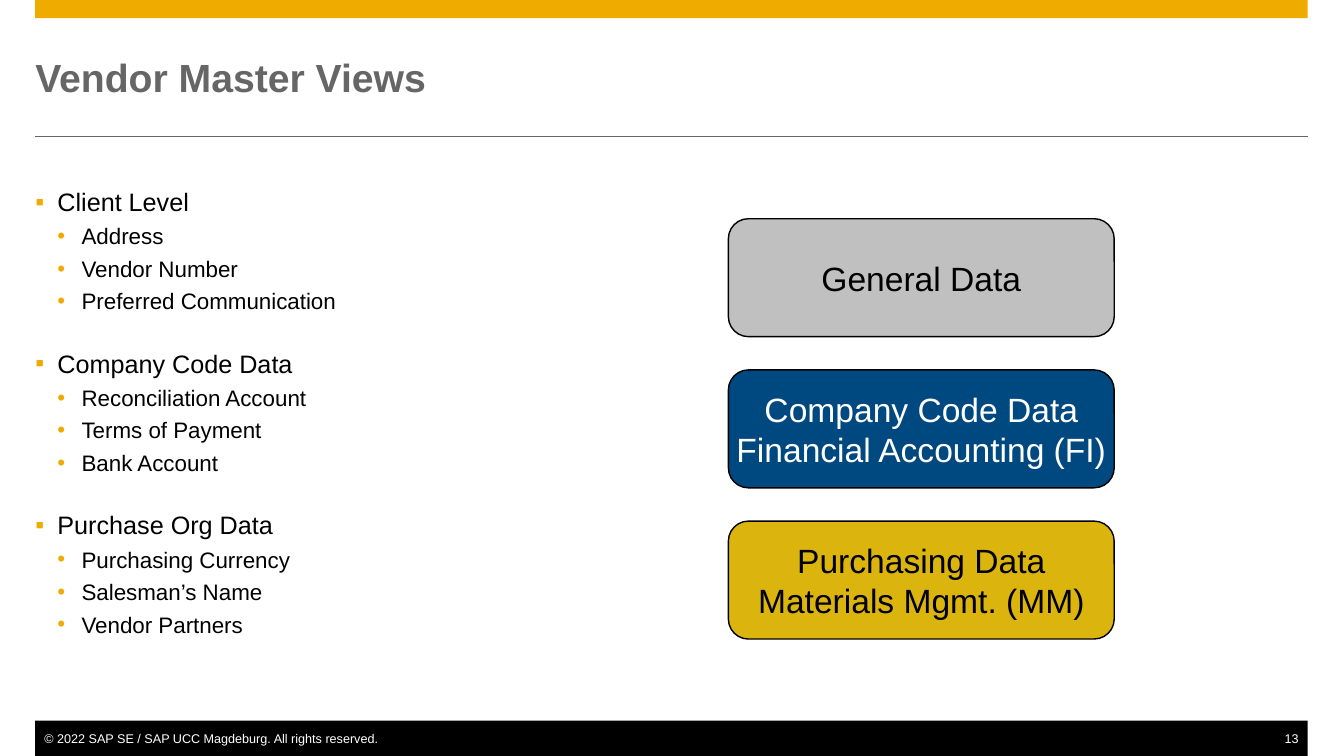
"""Build the Vendor Master Views slide."""
from lxml.etree import SubElement
from pptx import Presentation
from pptx.dml.color import RGBColor
from pptx.enum.shapes import MSO_CONNECTOR as Connector, MSO_SHAPE as Shape
from pptx.enum.text import MSO_ANCHOR as Anchor, MSO_AUTO_SIZE as AutoSize, PP_ALIGN as Align
from pptx.oxml.ns import qn
from pptx.util import Pt

PX = 9144
FONT = "Arial"
BLACK = RGBColor(0x00, 0x00, 0x00)
WHITE = RGBColor(0xFF, 0xFF, 0xFF)
GOLD = RGBColor(0xF0, 0xAB, 0x00)
GRAY = RGBColor(0x66, 0x66, 0x66)
SILVER = RGBColor(0xC0, 0xC0, 0xC0)
BLUE = RGBColor(0x00, 0x48, 0x80)
MUSTARD = RGBColor(0xDB, 0xB4, 0x0D)

TITLE = "Vendor Master Views"
SECTIONS = [
    ("Client Level", ["Address", "Vendor Number", "Preferred Communication"]),
    ("Company Code Data", ["Reconciliation Account", "Terms of Payment", "Bank Account"]),
    ("Purchase Org Data", ["Purchasing Currency", "Salesman’s Name", "Vendor Partners"]),
]
VIEWS = [
    ("General Data", SILVER, BLACK),
    ("Company Code Data\nFinancial Accounting (FI)", BLUE, WHITE),
    ("Purchasing Data\nMaterials Mgmt. (MM)", MUSTARD, BLACK),
]
COPYRIGHT = "© 2022 SAP SE / SAP UCC Magdeburg. All rights reserved."
PAGE_NUMBER = "13"

SLIDE_W, SLIDE_H = 1334, 750
LEFT, WIDTH = 35, 1263
VIEW_LEFT, VIEW_TOP, VIEW_W, VIEW_H, VIEW_STEP = 723, 217, 383, 117, 150
LEVELS = [("▪", 22, 22, 18, 24), ("•", 46, 24, 16, 4.1)]


def px(*lengths):
    return [round(length * PX) for length in lengths]


def place(box, *rect):
    box.left, box.top, box.width, box.height = px(*rect)


def set_frame(frame, anchor, wrap=True, insets=(0, 0, 0, 0)):
    frame.auto_size = AutoSize.NONE
    frame.word_wrap = wrap
    frame.vertical_anchor = anchor
    frame.margin_left, frame.margin_top, frame.margin_right, frame.margin_bottom = px(*insets)


def style(para, size, color, align=Align.LEFT, bold=False):
    para.alignment = align
    for span in para.runs:
        span.font.name = FONT
        span.font.size = Pt(size)
        span.font.bold = bold
        span.font.color.rgb = color


def add_box(shapes, kind, rect, fill):
    box = shapes.add_shape(kind, *px(*rect))
    box.shadow.inherit = False
    box.fill.solid()
    box.fill.fore_color.rgb = fill
    box.line.fill.background()
    return box


def add_bullet(para, level):
    symbol, indent, hang, size, space = LEVELS[level]
    para.level = level
    props = para._p.get_or_add_pPr()
    props.set("marL", str(indent * PX))
    props.set("indent", str(-hang * PX))
    SubElement(SubElement(props, qn("a:buClr")), qn("a:srgbClr"), val=str(GOLD))
    SubElement(props, qn("a:buFont"), typeface=FONT)
    SubElement(props, qn("a:buChar"), char=symbol)
    SubElement(SubElement(props, qn("a:tabLst")), qn("a:tab"), pos=str(216 * PX), algn="l")
    para.space_before = Pt(space)
    style(para, size, BLACK)


def add_footer(page, text, rect, insets, align, wrap):
    box = page.shapes.add_textbox(*px(*rect))
    set_frame(box.text_frame, Anchor.TOP, wrap, insets)
    box.text_frame.text = text
    style(box.text_frame.paragraphs[0], 9, WHITE, align)


def fill_placeholders(page):
    title, body = page.shapes.title, page.placeholders[1]
    place(title, LEFT, 35, WIDTH, 83)
    set_frame(title.text_frame, Anchor.MIDDLE)
    title.text_frame.text = TITLE
    style(title.text_frame.paragraphs[0], 28, GRAY, bold=True)

    place(body, LEFT, 185, WIDTH, 480)
    set_frame(body.text_frame, Anchor.TOP)
    lines = [line for heading, items in SECTIONS
             for line in [(heading, 0)] + [(item, 1) for item in items]]
    body.text_frame.text = "\n".join(text for text, level in lines)
    paras = body.text_frame.paragraphs
    for para, (text, level) in zip(paras, lines):
        add_bullet(para, level)
    paras[0].space_before = Pt(0)


def add_frame(page):
    add_box(page.shapes, Shape.RECTANGLE, (LEFT, 0, WIDTH, 18), GOLD)
    rule = page.shapes.add_connector(Connector.STRAIGHT, *px(LEFT, 135, LEFT + WIDTH, 135))
    rule.line.color.rgb = GRAY
    rule.line.width = Pt(0.5)
    SubElement(rule._element.spPr, qn("a:effectLst"))
    add_box(page.shapes, Shape.RECTANGLE, (LEFT, 715, WIDTH, 35), BLACK)
    add_footer(page, COPYRIGHT, (LEFT, 725, 345, 15), (9, 0, 0, 0), Align.LEFT, False)
    add_footer(page, PAGE_NUMBER, (1273, 725, 25, 15), (0, 0, 9, 0), Align.RIGHT, True)


def add_views(page):
    group = page.shapes.add_group_shape()
    for row, (text, fill, color) in enumerate(VIEWS):
        rect = (VIEW_LEFT, VIEW_TOP + row * VIEW_STEP, VIEW_W, VIEW_H)
        box = add_box(group.shapes, Shape.ROUNDED_RECTANGLE, rect, fill)
        box.adjustments[0] = 0.17
        box.line.color.rgb = BLACK
        box.line.width = Pt(1)
        set_frame(box.text_frame, Anchor.MIDDLE, False, (10, 5, 10, 5))
        box.text_frame.text = text
        for para in box.text_frame.paragraphs:
            style(para, 24, color, Align.CENTER)


def main():
    deck = Presentation()
    deck.slide_width, deck.slide_height = px(SLIDE_W, SLIDE_H)
    page = deck.slides.add_slide(deck.slide_layouts[1])
    fill_placeholders(page)
    add_frame(page)
    add_views(page)
    deck.save("out.pptx")


if __name__ == "__main__":
    main()
